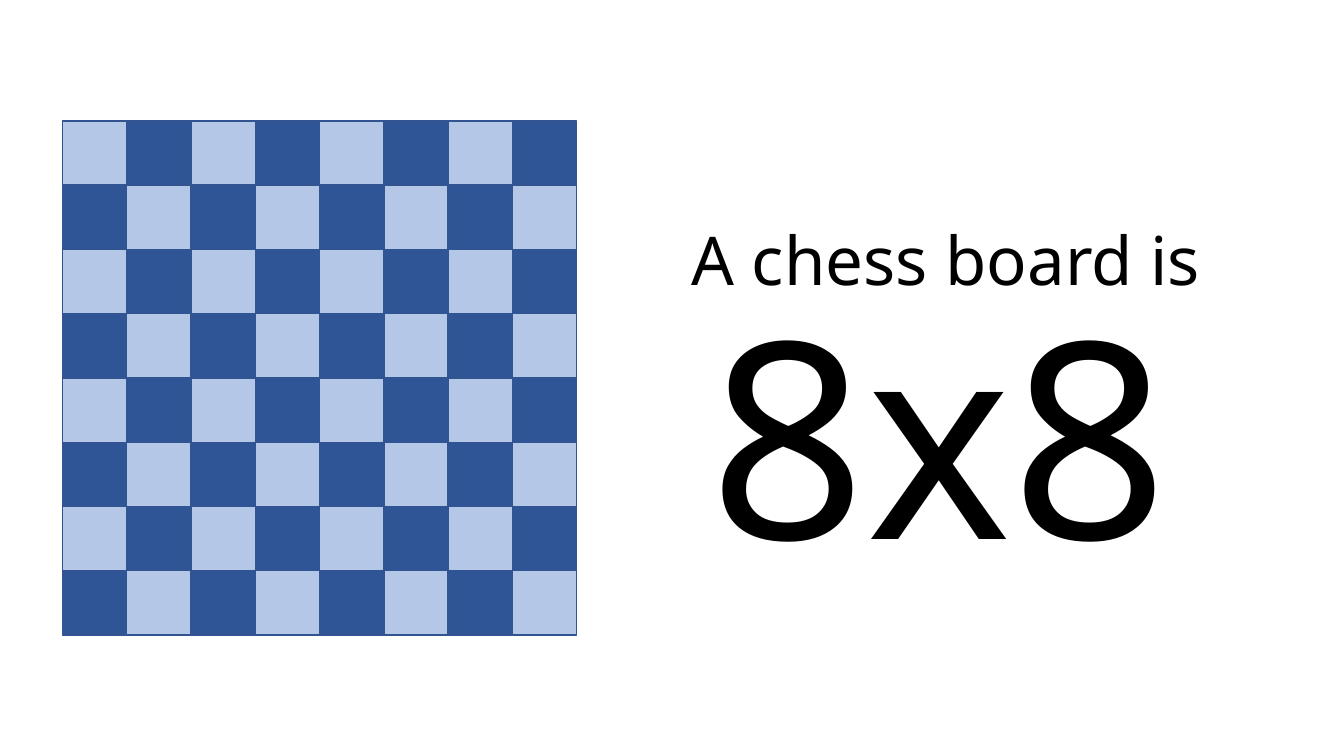
from itertools import product

from pptx import Presentation
from pptx.dml.color import RGBColor
from pptx.enum.shapes import MSO_SHAPE as Shape
from pptx.enum.text import MSO_AUTO_SIZE as Fit
from pptx.util import Inches, Pt

DARK, LIGHT, EDGE, INK = "2F5597", "B4C7E7", "325491", "000000"


def color(code):
    return RGBColor.from_string(code)


class Page:
    """Holds the text style and the current slide."""

    font = "Noto Sans"

    def __init__(self, deck):
        self.slide = deck.slides.add_slide(deck.slide_layouts[6])

    def group(self):
        return self.slide.shapes.add_group_shape().shapes

    def square(self, group, left, top, side, fill):
        shape = group.add_shape(Shape.RECTANGLE, Inches(left), Inches(top),
                                Inches(side), Inches(side))
        shape.shadow.inherit = False
        shape.fill.solid()
        shape.fill.fore_color.rgb = color(fill)
        shape.line.color.rgb = color(EDGE)
        shape.line.width = Pt(1)

    def text(self, group, words, left, top, width, height, size):
        box = group.add_textbox(Inches(left), Inches(top),
                                Inches(width), Inches(height))
        frame = box.text_frame
        frame.word_wrap = False
        frame.auto_size = Fit.SHAPE_TO_FIT_TEXT
        line = frame.paragraphs[0]
        line.text = words
        line.font.name = self.font
        line.font.size = Pt(size)
        line.font.color.rgb = color(INK)


deck = Presentation()
deck.slide_width, deck.slide_height = Inches(13.33), Inches(7.5)
page = Page(deck)

# Chess board: light corner at top left, colours alternate
COUNT, LEFT, TOP = 8, 0.62, 1.2
SIDE = 5.1 / COUNT
board = page.group()
for row, col in product(range(COUNT), repeat=2):
    fill = DARK if (row + col) % 2 else LIGHT
    page.square(board, LEFT + col * SIDE, TOP + row * SIDE, SIDE, fill)

# Caption
label = page.group()
page.text(label, "A chess board is", 6.76, 2.12, 5.59, 0.91, 48)
page.text(label, "8x8", 6.94, 2.58, 5.2, 3.4, 196)

deck.save("out.pptx")
